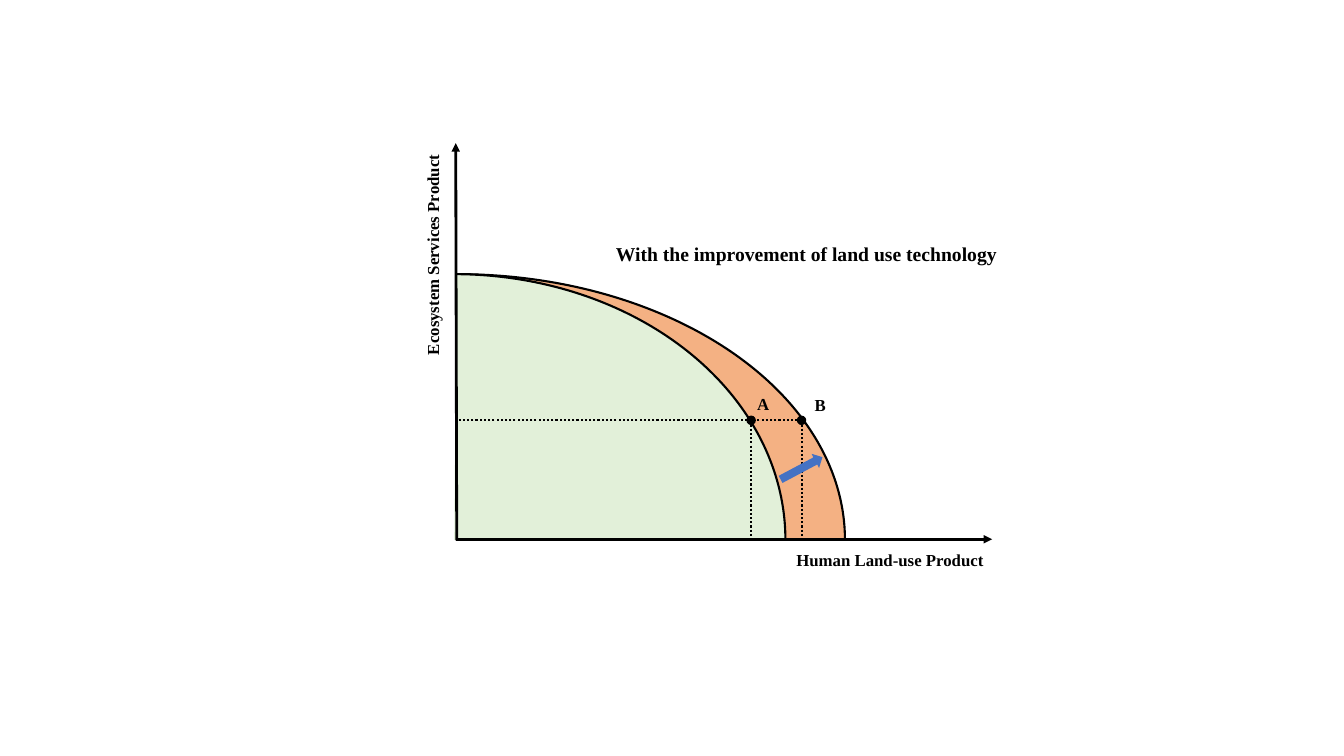
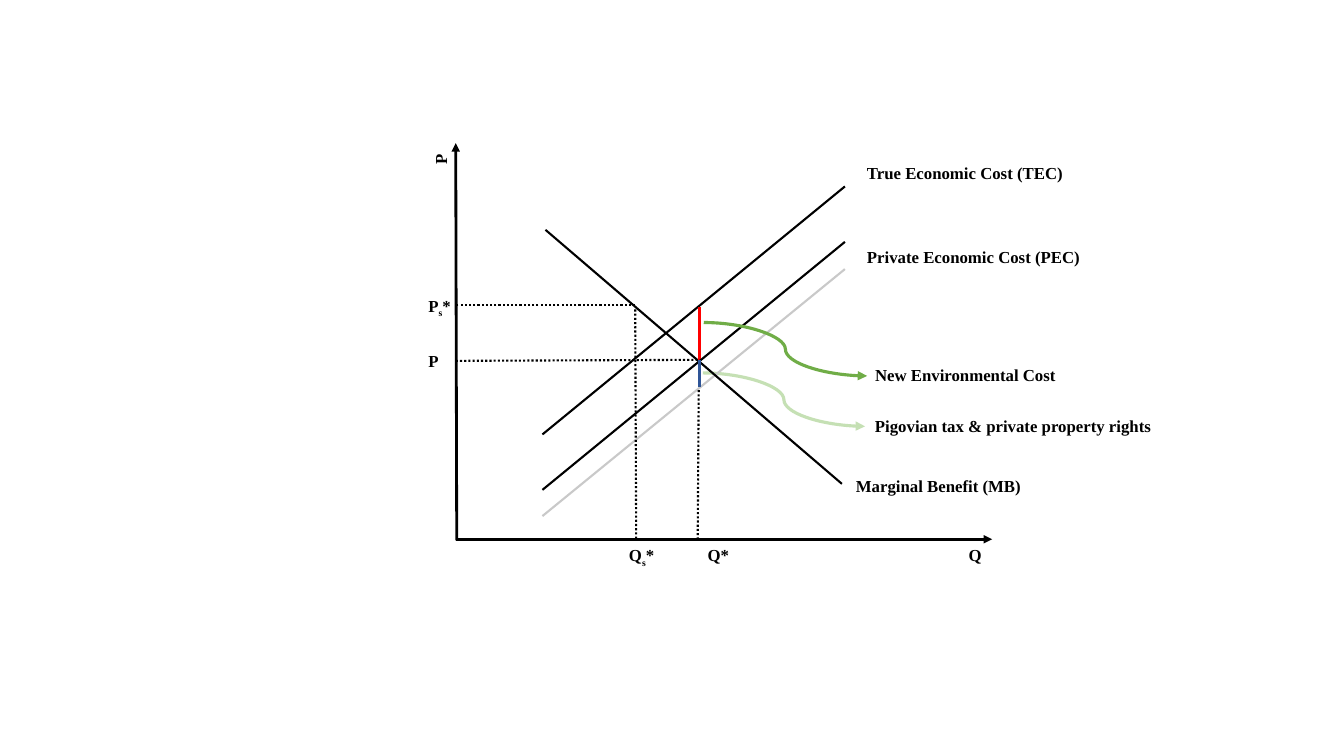
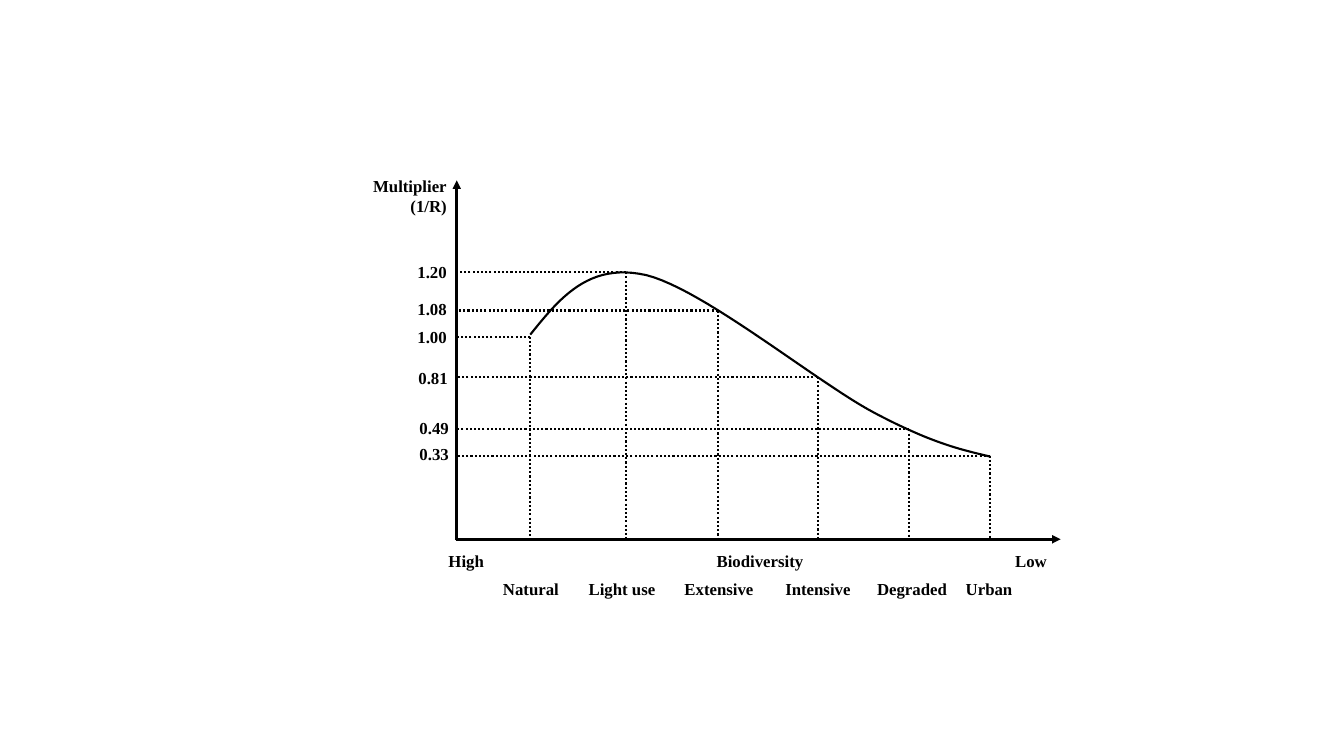
"""Build three economics diagrams on land use, external costs and biodiversity."""
from pptx import Presentation
from pptx.dml.color import RGBColor
from pptx.enum import dml, shapes, text
from pptx.oxml import ns
from pptx.util import Inches, Pt
from lxml import etree

FONT = "Times New Roman"
BLACK = "000000"
ORIGIN_X, ORIGIN_Y = 4.52, 5.35
hex_color = RGBColor.from_string


def draw_line(slide, start, end, color=BLACK, width=1.5, dotted=False, arrow=False,
              kind=shapes.MSO_CONNECTOR.STRAIGHT):
    connector = slide.shapes.add_connector(kind, *[Inches(value) for value in (*start, *end)])
    connector.line.color.rgb = hex_color(color)
    connector.line.width = Pt(width)
    if dotted:
        connector.line.dash_style = dml.MSO_LINE.ROUND_DOT
    if arrow:
        tail = etree.SubElement(connector.line._get_or_add_ln(), ns.qn("a:tailEnd"))
        tail.set("type", "triangle")
    etree.SubElement(connector._element.spPr, ns.qn("a:effectLst"))


def write_label(slide, content, left, top, width, size=12, height=0.3, rotation=0,
                align=text.PP_ALIGN.LEFT):
    box = slide.shapes.add_textbox(Inches(left), Inches(top), Inches(width), Inches(height))
    box.rotation = rotation
    frame = box.text_frame
    frame.word_wrap = True
    frame.auto_size = text.MSO_AUTO_SIZE.SHAPE_TO_FIT_TEXT
    base, subscript, rest = content.partition("_s")
    frame.text = base
    if subscript:
        lowered = frame.paragraphs[0].add_run()
        lowered.text = "s"
        lowered._r.get_or_add_rPr().set("baseline", "-25000")
        frame.paragraphs[0].add_run().text = rest
    for paragraph in frame.paragraphs:
        paragraph.alignment = align
        for run in paragraph.runs:
            run.font.name = FONT
            run.font.size = Pt(size)
            run.font.bold = True
            run.font.color.rgb = hex_color(BLACK)


presentation = Presentation()
presentation.slide_width = Inches(13.33)
presentation.slide_height = Inches(7.5)
blank_layout = presentation.slide_layouts[6]
frontier, costs, multiplier = [presentation.slides.add_slide(blank_layout) for _ in range(3)]

for left, width, start_angle, color in [(0.69, 7.69, 162, "F4B183"), (1.22, 6.57, 162.257, "E2F0D9")]:
    arc = frontier.shapes.add_shape(shapes.MSO_SHAPE.ARC, Inches(left), Inches(2.72),
                                    Inches(width), Inches(5.27))
    arc.adjustments[0] = start_angle
    arc.shadow.inherit = False
    arc.fill.solid()
    arc.fill.fore_color.rgb = hex_color(color)
    arc.line.color.rgb = hex_color(BLACK)
    arc.line.width = Pt(1.5)

for slide, right, top, top_x in [(frontier, 9.84, 1.42, 4.52), (costs, 9.84, 1.42, 4.52),
                                 (multiplier, 10.52, 1.79, 4.53)]:
    draw_line(slide, (ORIGIN_X, ORIGIN_Y), (right, ORIGIN_Y), width=2, arrow=True)
    draw_line(slide, (4.53, 5.36), (top_x, top), width=2, arrow=True)

draw_line(frontier, (7.95, 4.17), (4.53, 4.17), dotted=True)
for name, point_x, label_left, label_top in [("A", 7.45, 7.41, 3.86), ("B", 7.95, 7.98, 3.87)]:
    point = frontier.shapes.add_shape(shapes.MSO_SHAPE.OVAL, Inches(point_x - 0.04), Inches(4.13),
                                      Inches(0.08), Inches(0.08))
    point.shadow.inherit = False
    point.fill.solid()
    point.fill.fore_color.rgb = hex_color(BLACK)
    point.line.color.rgb = hex_color(BLACK)
    point.line.width = Pt(1)
    draw_line(frontier, (point_x, 4.17), (point_x, ORIGIN_Y), dotted=True)
    write_label(frontier, name, label_left, label_top, 0.31)

write_label(frontier, "Human Land-use Product", 7.8, 5.4, 2.2)
write_label(frontier, "Ecosystem Services Product", 3.19, 2.37, 2.2, rotation=270)
write_label(frontier, "With the improvement of land use technology", 6.01, 2.35, 4.57, size=14, height=0.34)

shift_arrow = frontier.shapes.add_shape(shapes.MSO_SHAPE.DOWN_ARROW, Inches(7.87), Inches(4.41),
                                        Inches(0.16), Inches(0.47))
shift_arrow.rotation = 242
shift_arrow.shadow.inherit = False
shift_arrow.fill.solid()
shift_arrow.fill.fore_color.rgb = hex_color("4472C4")
shift_arrow.line.fill.background()

CURVE = shapes.MSO_CONNECTOR.CURVE
draw_line(costs, (6.97, 3.7), (8.58, 4.23), "C5E0B4", 2.25, arrow=True, kind=CURVE)
for start, end, color in [
    ((5.38, 4.31), (8.38, 1.85), BLACK),
    ((5.38, 5.12), (8.38, 2.67), "C9C9C9"),
    ((5.41, 2.28), (8.35, 4.8), BLACK),
]:
    draw_line(costs, start, end, color)
draw_line(costs, (6.94, 3.57), (6.94, 3.05), "FF0000", 2.25)
for start, end in [
    ((6.93, 3.87), (6.92, 5.36)),
    ((6.3, 3.07), (6.31, 5.35)),
    ((6.3, 3.03), (4.53, 3.03)),
    ((6.92, 3.57), (4.52, 3.58)),
]:
    draw_line(costs, start, end, dotted=True)
draw_line(costs, (5.38, 4.86), (8.38, 2.4))
draw_line(costs, (6.98, 3.2), (8.6, 3.73), "70AD47", 2.25, arrow=True, kind=CURVE)
draw_line(costs, (6.94, 3.84), (6.94, 3.57), "2F5597", 2.25)

write_label(costs, "P", 4.25, 1.46, 0.24, rotation=270)
for content, left, top, width in [
    ("Q", 9.51, 5.36, 0.33),
    ("Q*", 6.92, 5.36, 0.43),
    ("Q_s*", 6.14, 5.36, 0.54),
    ("P_s*", 4.15, 2.88, 0.6),
    ("P", 4.15, 3.43, 0.24),
    ("True Economic Cost (TEC)", 8.5, 1.57, 2.89),
    ("Private Economic Cost (PEC)", 8.5, 2.4, 2.89),
    ("New Environmental Cost", 8.58, 3.57, 2.89),
    ("Pigovian tax & private property rights", 8.58, 4.08, 3.03),
    ("Marginal Benefit (MB)", 8.39, 4.67, 2.89),
]:
    write_label(costs, content, left, top, width)

bezier_segments = [
    ((5.26, 3.32), (5.55, 2.96), (5.84, 2.6), (6.41, 2.73)),
    ((6.41, 2.73), (6.98, 2.87), (8.11, 3.8), (8.68, 4.1)),
    ((8.68, 4.1), (9.25, 4.4), (9.53, 4.46), (9.82, 4.53)),
]
STEPS = 24
curve_points = []
for segment in bezier_segments:
    for step in range(1, STEPS + 1):
        t = step / STEPS
        weights = ((1 - t) ** 3, 3 * t * (1 - t) ** 2, 3 * t ** 2 * (1 - t), t ** 3)
        curve_points.append([Inches(sum(weight * point[axis] for weight, point in zip(weights, segment)))
                             for axis in (0, 1)])
builder = multiplier.shapes.build_freeform(Inches(5.26), Inches(3.32))
builder.add_line_segments(curve_points, close=False)
multiplier_curve = builder.convert_to_shape()
multiplier_curve.shadow.inherit = False
multiplier_curve.fill.background()
multiplier_curve.line.color.rgb = hex_color(BLACK)
multiplier_curve.line.width = Pt(1.5)

RIGHT = text.PP_ALIGN.RIGHT
write_label(multiplier, "Multiplier\n(1/R)", 3.52, 1.69, 1.01, height=0.5, align=RIGHT)
for content, left, width in [("High", 4.35, 1.86), ("Biodiversity", 7.01, 1.86), ("Low", 9.97, 0.65)]:
    write_label(multiplier, content, left, 5.41, width)

for land_use, left, width, x, y, value, value_left, value_top in [
    ("Natural", 4.89, 0.86, 5.26, 3.34, "1.00", 3.52, 3.19),
    ("Light use", 5.74, 0.93, 6.21, 2.7, "1.20", 3.52, 2.55),
    ("Extensive", 6.69, 0.99, 7.12, 3.08, "1.08", 3.52, 2.91),
    ("Intensive", 7.69, 0.99, 8.11, 3.74, "0.81", 3.53, 3.6),
    ("Degraded", 8.6, 0.99, 9.02, 4.26, "0.49", 3.54, 4.1),
    ("Urban", 9.48, 0.99, 9.82, 4.52, "0.33", 3.54, 4.35),
]:
    draw_line(multiplier, (x, y), (x, ORIGIN_Y), dotted=True)
    draw_line(multiplier, (x, y), (4.53, y), dotted=True)
    write_label(multiplier, land_use, left, 5.69, width)
    write_label(multiplier, value, value_left, value_top, 1.01, align=RIGHT)

presentation.save("out.pptx")
